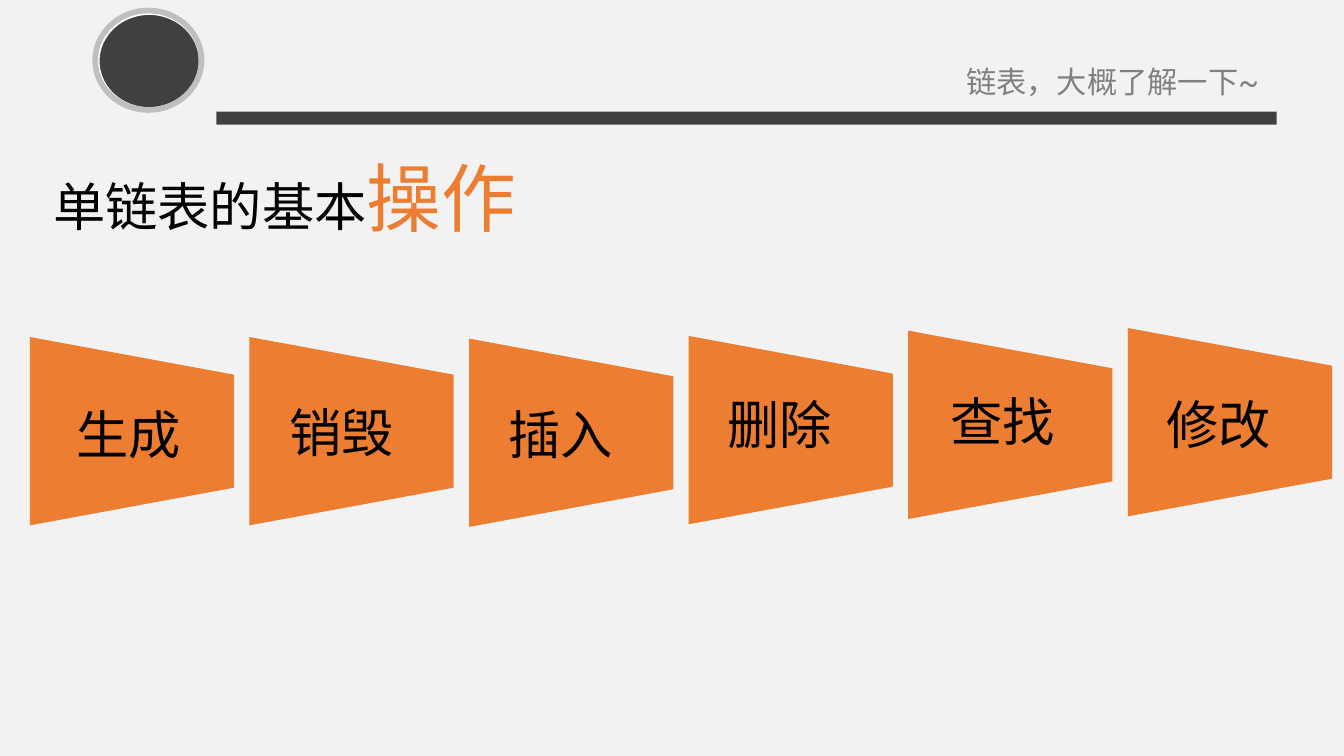
from collections import namedtuple

from pptx import Presentation
from pptx.dml.color import RGBColor
from pptx.enum.shapes import MSO_SHAPE
from pptx.enum.text import MSO_AUTO_SIZE
from pptx.util import Cm, Pt

Box = namedtuple("Box", "left top width height")

DARK, ORANGE, BLACK = "404040", "ED7D31", "000000"

# Name, centre height of the block, label left (from block centre) and label top, in cm
OPERATIONS = [
    ("生成", 8.15, -1.3, 7.47),
    ("销毁", 8.15, -1.43, 7.44),
    ("插入", 8.18, -1.44, 7.47),
    ("删除", 8.13, -1.45, 7.29),
    ("查找", 8.03, -1.39, 7.24),
    ("修改", 7.98, -1.45, 7.29),
]


def color(value):
    return RGBColor.from_string(value)


def add_block(page, kind, box, fill=None, line=None, rotation=0):
    block = page.shapes.add_shape(kind, *(Cm(length) for length in box))
    block.shadow.inherit = False
    block.rotation = rotation
    if fill:
        block.fill.solid()
        block.fill.fore_color.rgb = color(fill)
    else:
        block.fill.background()
    if line:
        block.line.color.rgb = color(line)
        block.line.width = Pt(3)
    else:
        block.line.fill.background()
    return block


def add_text(page, box, spans, font="Calibri"):
    """Place one line of text; spans holds (text, size, colour)."""
    frame = page.shapes.add_textbox(*(Cm(length) for length in box)).text_frame
    frame.word_wrap = True
    frame.auto_size = MSO_AUTO_SIZE.SHAPE_TO_FIT_TEXT
    para = frame.paragraphs[0]
    for text, size, shade in spans:
        span = para.add_run()
        span.text = text
        span.font.size = Pt(size)
        span.font.name = font
        span.font.color.rgb = color(shade)


def add_header(page, box):
    # Bar along the bottom, with the tagline above its right end
    bar_left = box.left + 2.29
    bar_top = box.top + 1.91
    add_block(page, MSO_SHAPE.RECTANGLE,
              Box(bar_left, bar_top, box.width - 2.29, 0.25), fill=DARK)
    add_text(page, Box(box.left + box.width - 6.12, box.top + 0.87, 6.6, 0.94),
             [("链表，大概了解一下~", 16.2, "808080")], "Roboto")

    # Round badge at the left: disc with a light edge and a grey ring
    add_block(page, MSO_SHAPE.OVAL,
              Box(box.left, box.top + 0.05, 2.01, 1.8), fill=DARK)
    add_block(page, MSO_SHAPE.OVAL,
              Box(box.left + 0.03, box.top + 0.03, 1.98, 1.85), line="FFFFFF")
    add_block(page, MSO_SHAPE.OVAL,
              Box(box.left, box.top, 2.01, 1.88), line="BFBFBF")


def add_title(page, box):
    add_text(page, box, [("单链表的基本", 28, BLACK), ("操作", 40, ORANGE)])


def add_operations(page, box):
    # Equal columns; each block is a trapezoid turned on its side
    pitch = box.width / len(OPERATIONS)
    block_width, block_height = 3.56, 3.86
    for index, (name, middle, label_shift, label_top) in enumerate(OPERATIONS):
        center = box.left + pitch * (index + 0.5)
        add_block(page, MSO_SHAPE.FLOWCHART_MANUAL_OPERATION,
                  Box(center - block_width / 2, box.top + middle - block_height / 2,
                      block_width, block_height),
                  fill=ORANGE, rotation=270)
        add_text(page, Box(center + label_shift, box.top + label_top, 2.92, 1.45),
                 [(name, 28, BLACK)])


def main():
    deck = Presentation()
    deck.slide_width, deck.slide_height = Cm(25.4), Cm(14.29)
    page = deck.slides.add_slide(deck.slide_layouts[6])
    page.background.fill.solid()
    page.background.fill.fore_color.rgb = color("F2F2F2")

    add_header(page, Box(1.8, 0.2, 22.33, 2.16))
    add_operations(page, Box(0.42, 0, 24.9, 14.29))
    add_title(page, Box(0.76, 2.74, 12.22, 1.96))
    deck.save("out.pptx")


if __name__ == "__main__":
    main()
